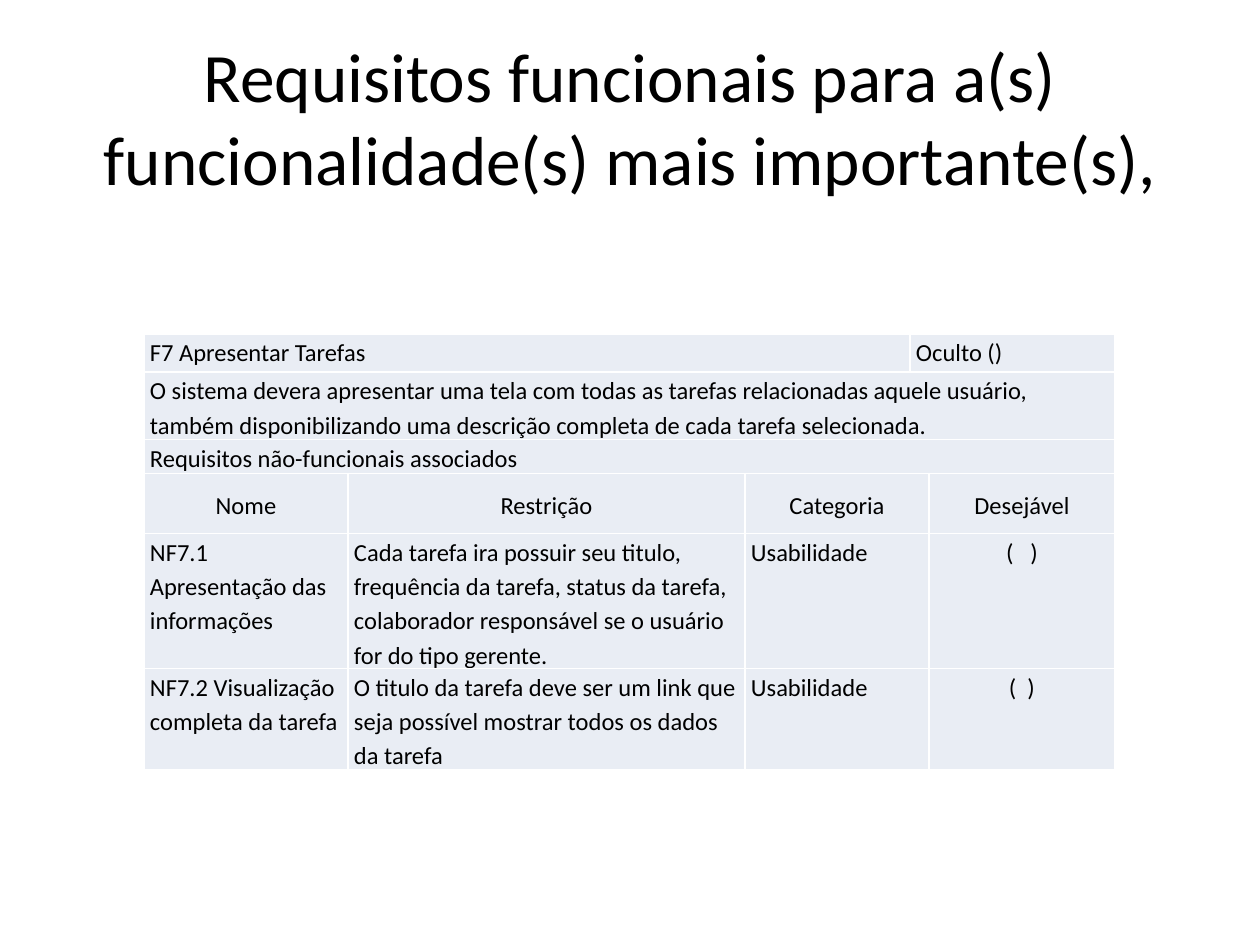
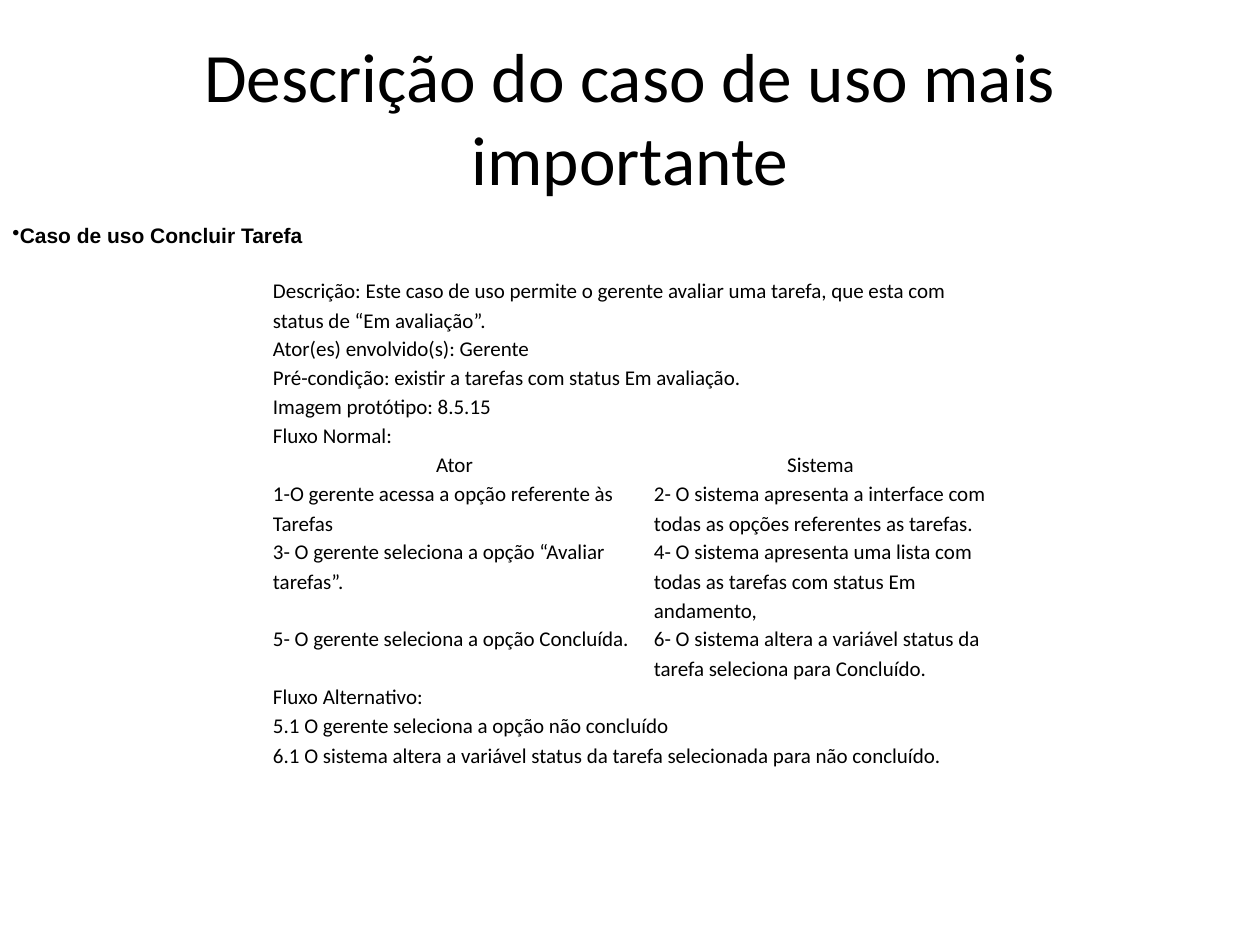
from lxml.etree import SubElement
from pptx import Presentation
from pptx.dml.color import RGBColor
from pptx.enum.text import MSO_ANCHOR as Anchor, PP_ALIGN as Align
from pptx.oxml.ns import qn
from pptx.util import Emu, Pt

SCALE = 914400 / 126
PAGE_SIZE = (1260, 945)
TITLE_BOX = (63, 38, 1134, 157)
BLACK = RGBColor(0x00, 0x00, 0x00)
WHITE = RGBColor(0xFF, 0xFF, 0xFF)
PALE_BLUE = RGBColor(0xE9, 0xED, 0xF4)
BODY_FONT, LABEL_FONT = "Calibri", "Arial"

REQUIREMENT_BOX = (144, 334)
REQUIREMENT_COLUMNS = [204, 397, 165, 19, 186]
REQUIREMENT_HEIGHTS = [38, 67, 32, 60, 122, 97]
WHOLE, HEAD, DETAIL = (0, 5), (0, 3, 5), (0, 1, 2, 4, 5)
REQUIREMENT_ROWS = [
    (HEAD, ["F7 Apresentar Tarefas", "Oculto ()"]),
    (WHOLE, ["O sistema devera apresentar uma tela com todas as tarefas relacionadas aquele usuário, "
             "também disponibilizando uma descrição completa de cada tarefa selecionada."]),
    (WHOLE, ["Requisitos não-funcionais associados"]),
    (DETAIL, ["Nome", "Restrição", "Categoria", "Desejável"]),
    (DETAIL, ["NF7.1 Apresentação das informações",
              "Cada tarefa ira possuir seu titulo, frequência da tarefa, status da tarefa, "
              "colaborador responsável se o usuário for do tipo gerente.",
              "Usabilidade", "(   )"]),
    (DETAIL, ["NF7.2 Visualização completa da tarefa",
              "O titulo da tarefa deve ser um link que seja possível mostrar todos os dados da tarefa",
              "Usabilidade", "(  )"]),
]
COLUMN_NAMES_ROW = 3

USE_CASE_BOX = (264, 275)
USE_CASE_COLUMNS = [381, 351]
LINE_HEIGHT = 29
USE_CASE_ROWS = [
    (2, ["Descrição: Este caso de uso permite o gerente avaliar uma tarefa, "
         "que esta com status de “Em avaliação”."]),
    (1, ["Ator(es) envolvido(s): Gerente"]),
    (1, ["Pré-condição: existir a tarefas com status Em avaliação."]),
    (1, ["Imagem protótipo: 8.5.15"]),
    (1, ["Fluxo Normal:"]),
    (1, ["Ator", "Sistema"]),
    (2, ["1-O gerente acessa a opção referente às Tarefas",
         "2- O sistema apresenta a interface com todas as opções referentes as tarefas."]),
    (3, ["3- O gerente seleciona a opção “Avaliar tarefas”.",
         "4- O sistema apresenta uma lista com todas as tarefas com status Em andamento,"]),
    (2, ["5- O gerente seleciona a opção Concluída.",
         "6- O sistema altera a variável status da tarefa seleciona para Concluído."]),
    (1, ["Fluxo Alternativo:"]),
    (2, ["5.1 O gerente seleciona a opção não concluído\n"
         "6.1 O sistema altera a variável status da tarefa selecionada para não concluído."]),
]
ACTORS_ROW = 5


def px(length):
    """Turn pixels into EMU."""
    return Emu(round(length * SCALE))


def add_span(para, text, size, font=BODY_FONT, bold=False):
    """Add one formatted run to a paragraph."""
    span = para.add_run()
    span.text = text
    span.font.name, span.font.size, span.font.bold = font, Pt(size), bold
    span.font.color.rgb = BLACK


def add_text(page, box, text, align, size, font=BODY_FONT, bold=False):
    """Add a wrapped, vertically centred text box and return its paragraph."""
    frame = page.shapes.add_textbox(*map(px, box)).text_frame
    frame.word_wrap = True
    frame.vertical_anchor = Anchor.MIDDLE
    para = frame.paragraphs[0]
    para.alignment = align
    add_span(para, text, size, font, bold)
    return para


def add_plain_table(page, corner, columns, heights):
    """Add a table without banding and return it."""
    box = (*corner, sum(columns), sum(heights))
    table = page.shapes.add_table(len(heights), len(columns), *map(px, box)).table
    table.first_row = table.horz_banding = False
    for column, width in zip(table.columns, columns):
        column.width = px(width)
    for row, height in zip(table.rows, heights):
        row.height = px(height)
    for cell in table.iter_cells():
        cell.fill.background()
    return table


def fill_row(table, row, edges, texts, size, inset, centred=(), before=0, after=0):
    """Write texts into one row, merging the columns between the given edges."""
    for place, (start, end, text) in enumerate(zip(edges, edges[1:], texts)):
        cell = table.cell(row, start)
        if end - start > 1:
            cell.merge(table.cell(row, end - 1))
        cell.margin_left = cell.margin_right = px(inset)
        cell.margin_top = cell.margin_bottom = 0
        for number, line in enumerate(text.split("\n")):
            frame = cell.text_frame
            para = frame.add_paragraph() if number else frame.paragraphs[0]
            para.alignment = Align.CENTER if place in centred else Align.LEFT
            para.line_spacing = 1.15
            para.space_before, para.space_after = Pt(before), Pt(after)
            add_span(para, line, size)


def paint_cell(cell, fill, border):
    """Give a cell a solid fill and one-point borders."""
    properties = cell._tc.get_or_add_tcPr()
    cell.fill.background()
    for old in list(properties):
        properties.remove(old)
    for side in ("a:lnL", "a:lnR", "a:lnT", "a:lnB"):
        line = SubElement(properties, qn(side), w=str(Pt(1)))
        SubElement(SubElement(line, qn("a:solidFill")), qn("a:srgbClr"), val=str(border))
    cell.fill.solid()
    cell.fill.fore_color.rgb = fill


def add_requirement_table(page, corner):
    """Add the functional requirement with its constraints."""
    table = add_plain_table(page, corner, REQUIREMENT_COLUMNS, REQUIREMENT_HEIGHTS)
    for cell in table.iter_cells():
        paint_cell(cell, PALE_BLUE, WHITE)
    for row, (edges, texts) in enumerate(REQUIREMENT_ROWS):
        is_names = row == COLUMN_NAMES_ROW
        centred = range(4) if is_names else (3,)
        before, after = (2, 2) if is_names else (0, 0 if edges == WHOLE else 10)
        fill_row(table, row, edges, texts, 14, 6, centred, before, after)
        if is_names:
            for column in edges[:-1]:
                table.cell(row, column).vertical_anchor = Anchor.MIDDLE


def add_use_case_table(page, corner):
    """Add the use case description with its flows."""
    heights = [lines * LINE_HEIGHT for lines, _ in USE_CASE_ROWS]
    table = add_plain_table(page, corner, USE_CASE_COLUMNS, heights)
    for row, (_, texts) in enumerate(USE_CASE_ROWS):
        edges = (0, 2) if len(texts) == 1 else (0, 1, 2)
        fill_row(table, row, edges, texts, 12, 9, range(2) if row == ACTORS_ROW else ())


def add_bullet_label(page, box, text):
    """Add a bold bulleted label."""
    para = add_text(page, box, text, Align.JUSTIFY, 12, LABEL_FONT, True)
    SubElement(para._p.get_or_add_pPr(), qn("a:buChar"), char="•")


def add_page(deck, title):
    """Add a blank page with the shared title."""
    page = deck.slides.add_slide(deck.slide_layouts[6])
    add_text(page, TITLE_BOX, title, Align.CENTER, 39.6)
    return page


def main():
    """Build and save the deck."""
    deck = Presentation()
    deck.slide_width, deck.slide_height = map(px, PAGE_SIZE)
    page = add_page(deck, "Requisitos funcionais para a(s) funcionalidade(s) mais importante(s),")
    add_requirement_table(page, REQUIREMENT_BOX)
    page = add_page(deck, "Descrição do caso de uso mais importante")
    add_use_case_table(page, USE_CASE_BOX)
    add_bullet_label(page, (0, 204, 1260, 63), "Caso de uso Concluir Tarefa")
    deck.save("out.pptx")


if __name__ == "__main__":
    main()
